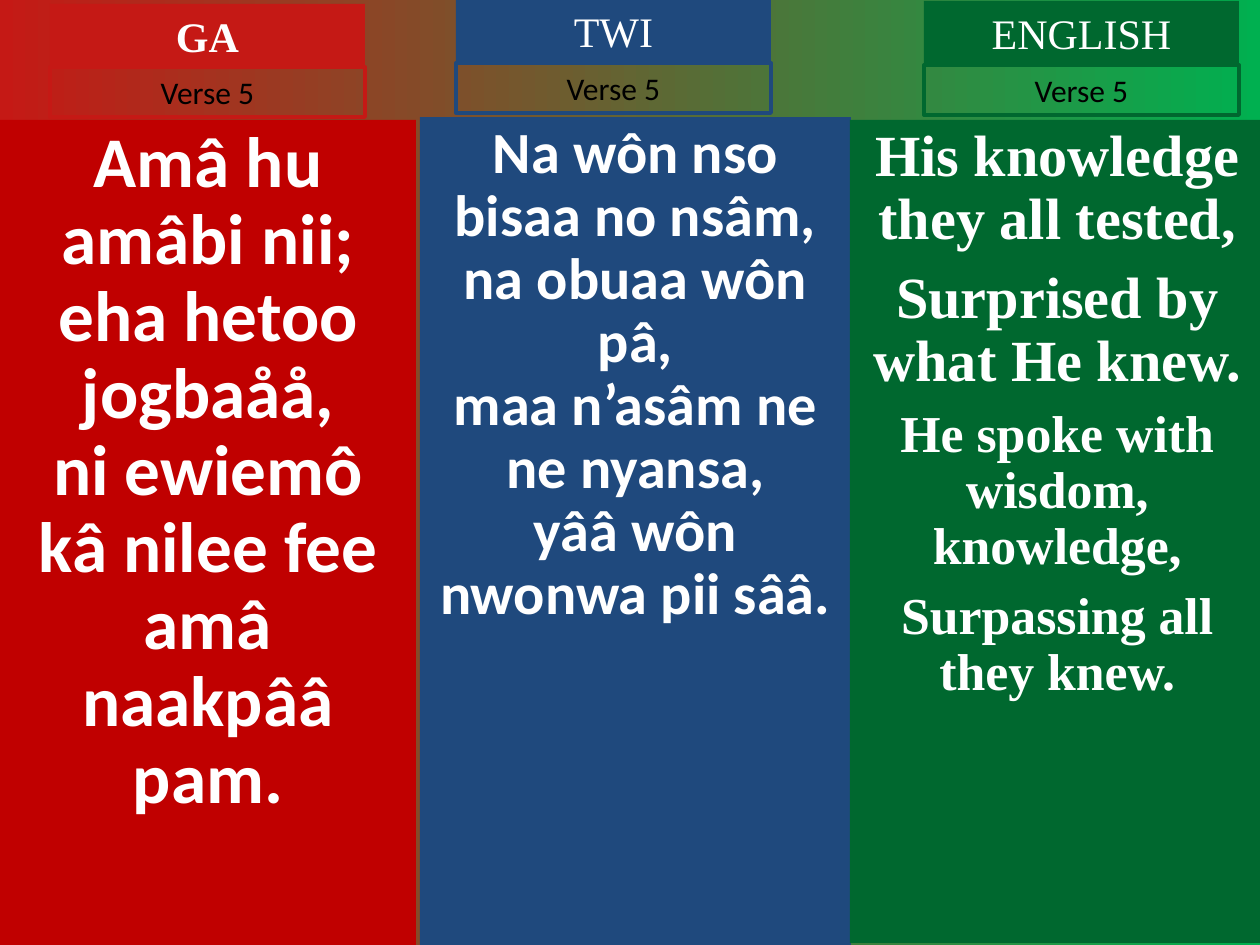
from pptx import Presentation
from pptx.dml.color import RGBColor
from pptx.enum.shapes import MSO_SHAPE
from pptx.enum.text import MSO_ANCHOR, MSO_AUTO_SIZE, PP_ALIGN
from pptx.util import Emu, Pt

COLORS = {
    "ga": "C00000", "ga label": "C51915", "twi": "1F497D", "english": "00682F",
    "fade end": "00B050", "white": "FFFFFF", "black": "000000",
}
SANS, SERIF = "Calibri", "Times New Roman"
LABEL_WIDTH, TITLE_HEIGHT, VERSE_HEIGHT = 315, 63, 50

GA_LINES = [
    ("Amâ hu amâbi nii;", 40.7, 0),
    ("eha hetoo jogbaåå,", 40.7, 0),
    ("ni ewiemô kâ nilee fee amâ naakpââ pam.", 40.7, 0),
]
TWI_LINES = [
    ("Na wôn nso bisaa no nsâm,", 33.3, 0),
    ("na obuaa wôn pâ,", 33.3, 0),
    ("maa n’asâm ne ne nyansa,", 33.3, 0),
    ("yââ wôn nwonwa pii sââ.", 33.3, 0),
]
ENGLISH_LINES = [
    ("His knowledge they all tested,", 33.3, 0),
    ("Surprised by what He knew.", 33.3, 9),
    ("He spoke with wisdom, knowledge,", 29.6, 8),
    ("Surpassing all they knew.", 29.6, 8),
]


def px(length):
    """Turn pixels into EMU."""
    return Emu(length * 914400 // 126)


def color(name):
    """Look up a named colour."""
    return RGBColor.from_string(COLORS[name])


def paint_background(page):
    """Fade the page from red on the left to green on the right."""
    fill = page.background.fill
    fill.gradient()
    fill.gradient_angle = 0
    for stop, name in zip(fill.gradient_stops, ("ga label", "fade end")):
        stop.color.rgb = color(name)


def add_box(page, area, fill=None, line=None):
    """Add a rectangle with top-anchored, wrapped text."""
    box = page.shapes.add_shape(MSO_SHAPE.RECTANGLE, *map(px, area))
    box.shadow.inherit = False
    if fill:
        box.fill.solid()
        box.fill.fore_color.rgb = color(fill)
    else:
        box.fill.background()
    if line:
        box.line.color.rgb = color(line)
        box.line.width = Pt(2.25)
    else:
        box.line.fill.background()
    box.text_frame.word_wrap = True
    box.text_frame.vertical_anchor = MSO_ANCHOR.TOP
    return box


def write(para, text, size, font, ink="white", bold=False):
    """Write one centred run into a paragraph."""
    para.alignment = PP_ALIGN.CENTER
    span = para.add_run()
    span.text = text
    span.font.size = Pt(size)
    span.font.name = font
    span.font.bold = bold
    span.font.color.rgb = color(ink)


def add_lyrics(page, area, fill, font, lines):
    """Add a language panel holding the lines of the verse."""
    frame = add_box(page, area, fill).text_frame
    for index, (text, size, gap) in enumerate(lines):
        para = frame.add_paragraph() if index else frame.paragraphs[0]
        para.line_spacing = 0.9
        para.space_before = Pt(gap)
        write(para, text, size, font, bold=True)


def add_labels(page, left, title_top, verse_top, tint, title, bold=False):
    """Add the language title and the outlined verse number below it."""
    title_box = add_box(page, (left, title_top, LABEL_WIDTH, TITLE_HEIGHT), fill=tint)
    verse_box = add_box(page, (left, verse_top, LABEL_WIDTH, VERSE_HEIGHT), line=tint)
    for box in (title_box, verse_box):
        box.text_frame.auto_size = MSO_AUTO_SIZE.SHAPE_TO_FIT_TEXT
    write(title_box.text_frame.paragraphs[0], title, 24, SERIF, bold=bold)
    write(verse_box.text_frame.paragraphs[0], "Verse 5", 18, SANS, "black")


def main():
    """Build the three-language hymn slide."""
    deck = Presentation()
    deck.slide_width, deck.slide_height = px(1260), px(945)
    page = deck.slides.add_slide(deck.slide_layouts[6])
    paint_background(page)
    add_lyrics(page, (0, 120, 416, 825), "ga", SANS, GA_LINES)
    add_lyrics(page, (420, 117, 431, 828), "twi", SANS, TWI_LINES)
    add_lyrics(page, (850, 120, 415, 823), "english", SERIF, ENGLISH_LINES)
    add_labels(page, 50, 4, 67, "ga label", "GA", bold=True)
    add_labels(page, 456, -1, 63, "twi", "TWI")
    add_labels(page, 924, 1, 65, "english", "ENGLISH")
    deck.save("out.pptx")


if __name__ == "__main__":
    main()
